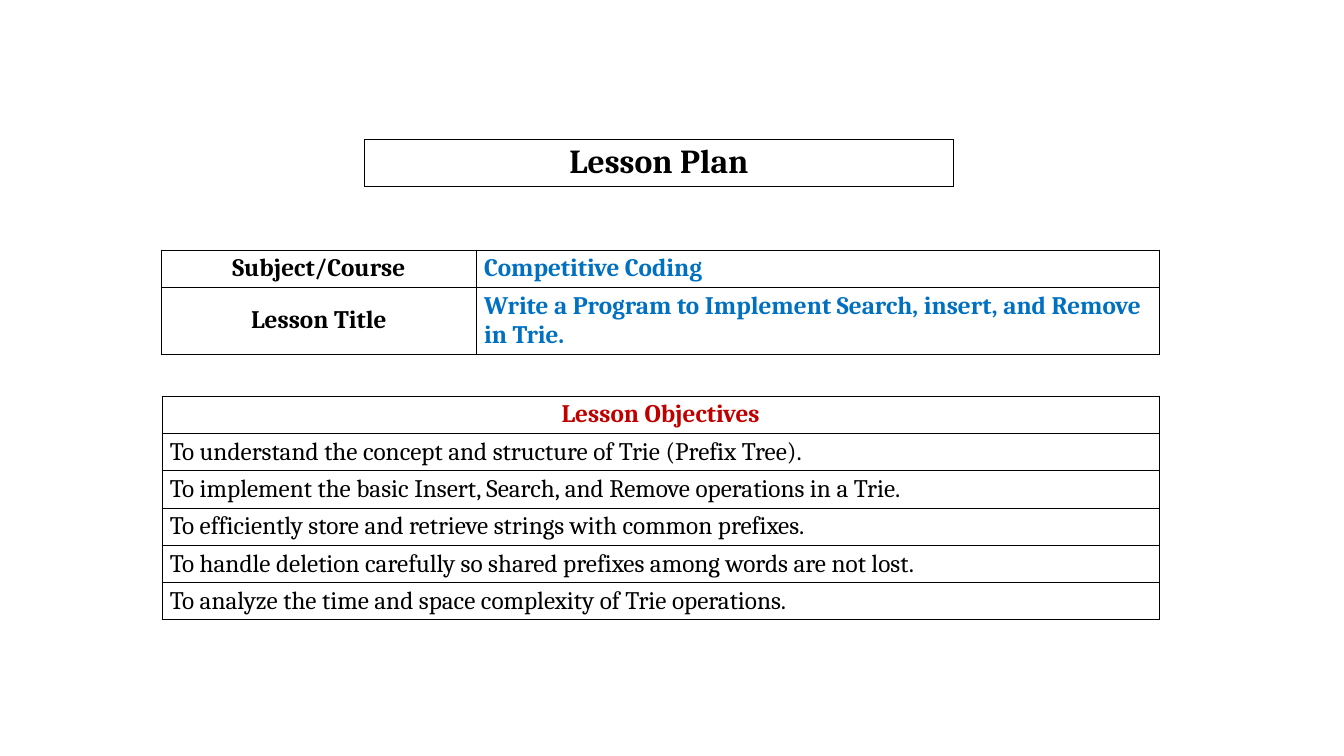
import pptx
import pptx.util
import pptx.dml.color
import pptx.enum.text
import pptx.oxml.ns
import lxml.etree

Cm = pptx.util.Cm
Pt = pptx.util.Pt
RGB = pptx.dml.color.RGBColor
ALIGN = pptx.enum.text.PP_ALIGN
qn = pptx.oxml.ns.qn

BLACK = RGB(0x00, 0x00, 0x00)
WHITE = RGB(0xFF, 0xFF, 0xFF)
BLUE = RGB(0x00, 0x70, 0xC0)
RED = RGB(0xC0, 0x00, 0x00)

GOALS = [
    "To understand the concept and structure of Trie (Prefix Tree).",
    "To implement the basic Insert, Search, and Remove operations in a Trie.",
    "To efficiently store and retrieve strings with common prefixes.",
    "To handle deletion carefully so shared prefixes among words are not lost.",
    "To analyze the time and space complexity of Trie operations.",
]


def add_text(frame, text, size=18, color=BLACK, bold=False, align=ALIGN.LEFT):
    para = frame.paragraphs[0]
    para.alignment = align
    run = para.add_run()
    run.text = text
    run.font.name = "Cambria"
    run.font.size = Pt(size)
    run.font.bold = bold
    run.font.color.rgb = color


def add_edges(cell):
    props = cell._tc.get_or_add_tcPr()
    for side in ("lnL", "lnR", "lnT", "lnB"):
        line = lxml.etree.SubElement(props, qn("a:" + side), w=str(Pt(0.77)))
        fill = lxml.etree.SubElement(line, qn("a:solidFill"))
        lxml.etree.SubElement(fill, qn("a:srgbClr"), val=str(BLACK))


def fill_cell(cell, text, **form):
    cell.margin_left = cell.margin_right = Cm(0.19)
    cell.margin_top = cell.margin_bottom = Cm(0.1)
    cell.vertical_anchor = pptx.enum.text.MSO_ANCHOR.MIDDLE
    add_edges(cell)
    cell.fill.solid()
    cell.fill.fore_color.rgb = WHITE
    add_text(cell.text_frame, text, **form)


def add_grid(slide, left, top, widths, heights, rows):
    frame = slide.shapes.add_table(
        len(heights), len(widths), Cm(left), Cm(top),
        Cm(sum(widths)), Cm(sum(heights)))
    table = frame.table
    table.first_row = False
    table.horz_banding = False
    for col, width in zip(table.columns, widths):
        col.width = Cm(width)
    for row, height, items in zip(table.rows, heights, rows):
        row.height = Cm(height)
        for cell, (text, form) in zip(row.cells, items):
            fill_cell(cell, text, **form)


def main():
    deck = pptx.Presentation()
    deck.slide_width = Cm(33.87)
    deck.slide_height = Cm(19.05)
    slide = deck.slides.add_slide(deck.slide_layouts[6])

    head = dict(bold=True, align=ALIGN.CENTER)
    value = dict(bold=True, color=BLUE)

    add_grid(slide, 9.19, 3.51, [14.83], [1.19],
             [[("Lesson Plan", dict(head, size=24))]])
    add_grid(slide, 4.06, 6.3, [7.95, 17.2], [0.94, 1.68], [
        [("Subject/Course", head), ("Competitive Coding", value)],
        [("Lesson Title", head),
         ("Write a Program to Implement Search, insert, and Remove in Trie.",
          value)],
    ])
    goals = [[("Lesson Objectives", dict(head, color=RED))]]
    goals += [[(goal, {})] for goal in GOALS]
    add_grid(slide, 4.09, 9.98, [25.12], [0.94] * len(goals), goals)

    deck.save("out.pptx")


if __name__ == "__main__":
    main()
